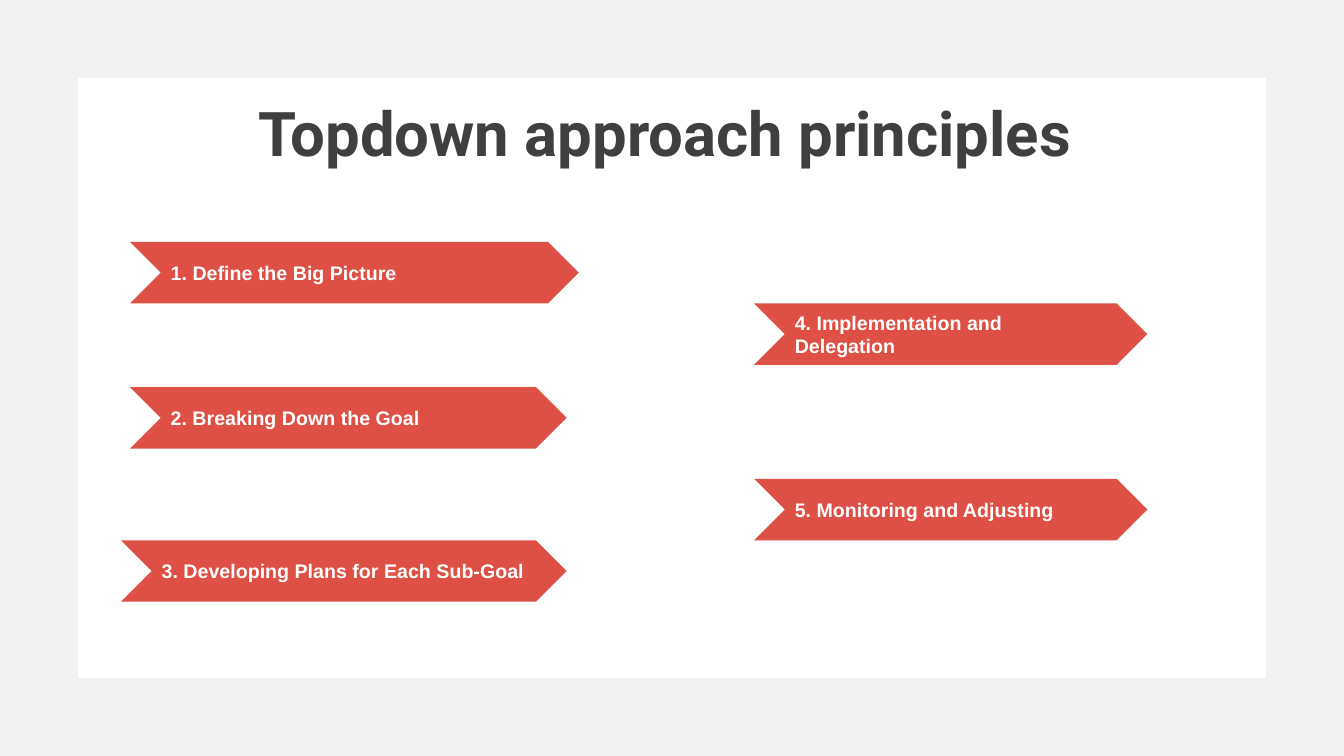
from pptx import Presentation
from pptx.dml.color import RGBColor
from pptx.enum.shapes import MSO_SHAPE
from pptx.enum.text import MSO_ANCHOR, MSO_AUTO_SIZE, PP_ALIGN
from pptx.util import Emu, Pt

EMU_PER_PX = 9144  # 100 px to the inch
RED = RGBColor(0xDE, 0x4F, 0x45)
DARK_GREY = RGBColor(0x3F, 0x3F, 0x3F)
LIGHT_GREY = RGBColor(0xF2, 0xF2, 0xF2)
WHITE = RGBColor(0xFF, 0xFF, 0xFF)

WIDTH, HEIGHT = 1333, 750
BANNER_HEIGHT = 61
PRINCIPLES = [  # left, top, width, text
    (129, 240, 445, "1. Define the Big Picture"),
    (129, 384, 433, "2. Breaking Down the Goal"),
    (120, 536, 442, "3. Developing Plans for Each Sub-Goal"),
    (748, 301, 390, "4. Implementation and Delegation"),
    (748, 475, 390, "5. Monitoring and Adjusting"),
]


def px(length):
    return Emu(length * EMU_PER_PX)


class PrinciplesSlide:
    title_font, title_size = "Roboto", Pt(44)
    banner_font, banner_size = "Arial", Pt(14)

    def __init__(self, presentation):
        self.slide = presentation.slides.add_slide(presentation.slide_layouts[5])

    def set_text(self, shape, text, font_name, size, color, alignment):
        frame = shape.text_frame
        frame.text = text
        frame.word_wrap = True
        frame.auto_size = MSO_AUTO_SIZE.NONE
        frame.vertical_anchor = MSO_ANCHOR.MIDDLE
        paragraph = frame.paragraphs[0]
        paragraph.alignment = alignment
        font = paragraph.runs[0].font
        font.name, font.size, font.bold = font_name, size, True
        font.color.rgb = color

    def add_flat_shape(self, kind, left, top, width, height, color):
        shape = self.slide.shapes.add_shape(
            kind, px(left), px(top), px(width), px(height))
        shape.shadow.inherit = False
        shape.fill.solid()
        shape.fill.fore_color.rgb = color
        shape.line.fill.background()
        return shape

    def add_border(self):
        border = self.add_flat_shape(MSO_SHAPE.FRAME, 0, 0, WIDTH, HEIGHT, LIGHT_GREY)
        border.adjustments[0] = 0.103

    def set_title(self, left, top, width, height, text):
        title = self.slide.shapes.title
        title.left, title.top = px(left), px(top)
        title.width, title.height = px(width), px(height)
        self.set_text(title, text, self.title_font, self.title_size,
                      DARK_GREY, PP_ALIGN.CENTER)

    def add_banner(self, left, top, width, text):
        banner = self.add_flat_shape(
            MSO_SHAPE.CHEVRON, left, top, width, BANNER_HEIGHT, RED)
        self.set_text(banner, text, self.banner_font, self.banner_size,
                      WHITE, PP_ALIGN.LEFT)


def main():
    presentation = Presentation()
    presentation.slide_width, presentation.slide_height = px(WIDTH), px(HEIGHT)
    principles = PrinciplesSlide(presentation)
    principles.add_border()
    principles.set_title(101, 89, 1118, 84, "Topdown approach principles")
    for principle in PRINCIPLES:
        principles.add_banner(*principle)
    presentation.save("out.pptx")


if __name__ == "__main__":
    main()
